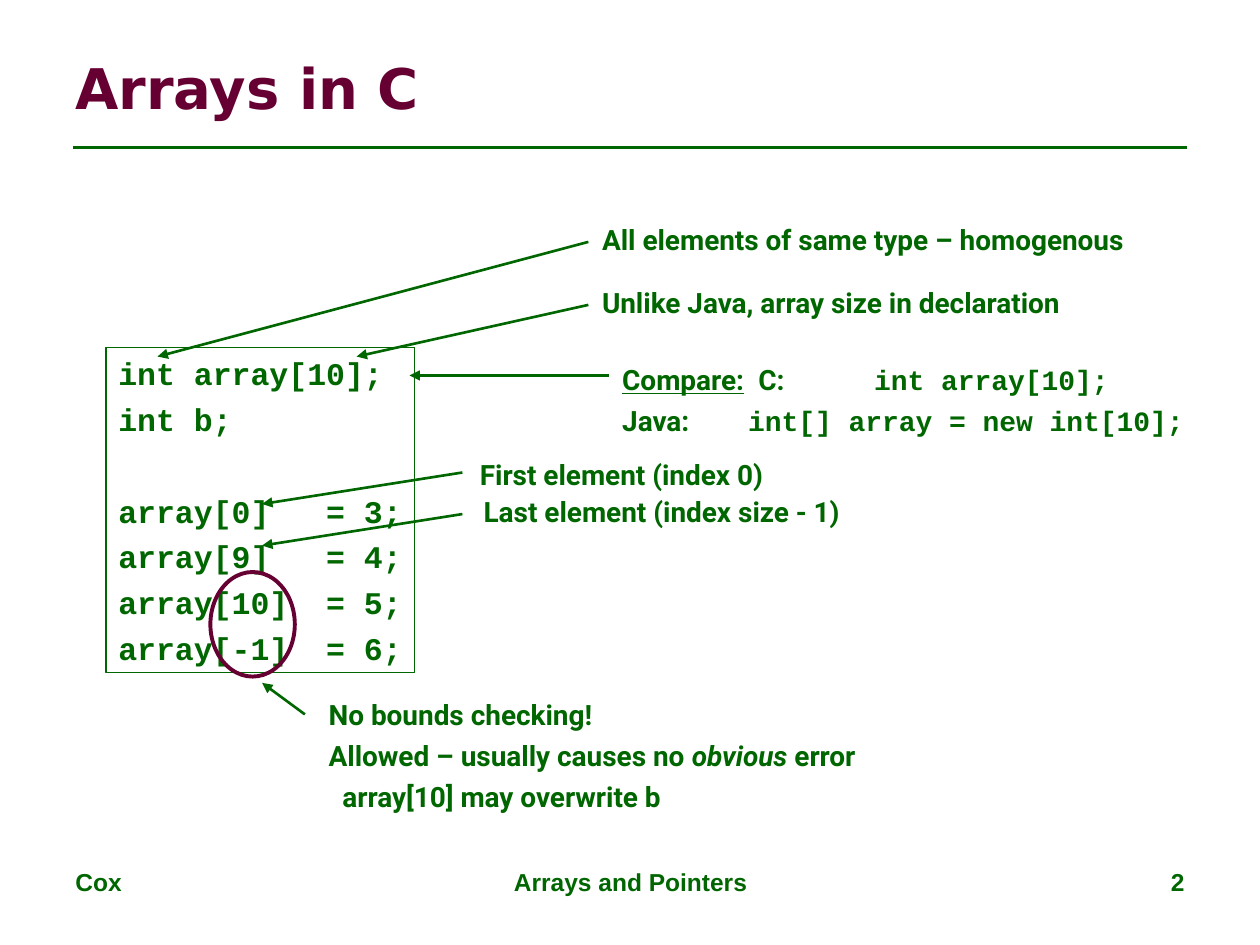
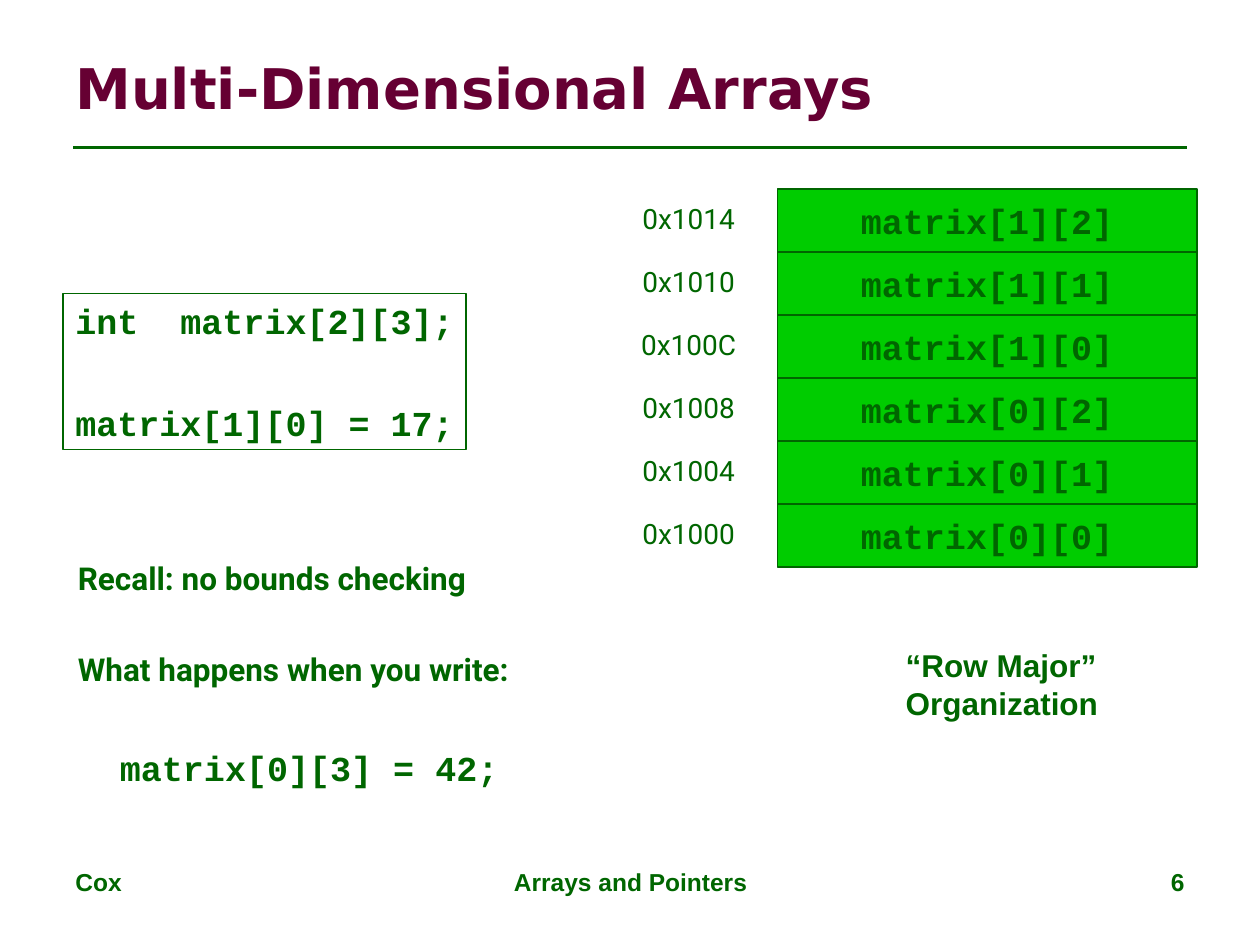
import lxml.etree
import pptx
import pptx.dml.color
import pptx.enum.shapes
import pptx.enum.text
import pptx.oxml.ns
import pptx.util

Inches = pptx.util.Inches
Pt = pptx.util.Pt
RGBColor = pptx.dml.color.RGBColor
Align = pptx.enum.text.PP_ALIGN
Anchor = pptx.enum.text.MSO_ANCHOR
Shape = pptx.enum.shapes.MSO_SHAPE
qn = pptx.oxml.ns.qn

# Colours and text styles
GREEN = RGBColor(0x00, 0x66, 0x00)
BRIGHT_GREEN = RGBColor(0x00, 0xCC, 0x00)
MAROON = RGBColor(0x66, 0x00, 0x33)


def style(name, size, bold=True, colour=GREEN):
    return {"name": name, "size": Pt(size), "bold": bold, "color": colour}


TITLE = style("DejaVu Sans", 32, colour=MAROON)
FOOTER = style("Arial", 14)
NOTE = style("Roboto", 16)
NOTE_CODE = style("Courier New", 16)
ADDRESS = style("Roboto", 16, bold=False)
CODE = style("Courier New", 18)
BIG_CODE = style("Courier New", 20)
REMARK = style("Roboto", 18)
CAPTION = style("Arial", 18)

# Shared content: text, left, width, alignment
FOOTERS = [("Cox", 0.5, 2.33, Align.LEFT),
           ("Arrays and Pointers", 3.42, 3.17, Align.CENTER)]
NUMBER_PLACE = (7.17, 2.33, Align.RIGHT)

# Slide "Arrays in C": a paragraph is a string, or a dict with spans and spacing
ARRAY_CODE = [
    "int array[10];",
    {"spans": ["int b;"], "before": 4.5},
    {"spans": ["array[0]   = 3;"], "before": 31},
    {"spans": ["array[9]   = 4;"], "before": 4.5},
    {"spans": ["array[10]  = 5;"], "before": 4.5},
    {"spans": ["array[-1]  = 6;"], "before": 4.5},
]
ARRAY_NOTES = [
    ((4.68, 1.72, 4.73, 0.37), ["All elements of same type – homogenous"]),
    ((4.68, 2.22, 4.23, 0.37), ["Unlike Java, array size in declaration"]),
    ((4.84, 2.83, 4.66, 0.69), [
        {"spans": [("Compare:", {"underline": True}), "\tC:\t",
                   ("int array[10];", NOTE_CODE)], "tabs": [1.08, 2]},
        {"spans": ["Java:\t", ("int[] array = new int[10];", NOTE_CODE)],
         "tabs": [1], "before": 4},
    ]),
    ((3.71, 3.58, 2.68, 0.37), ["First element (index 0)"]),
    ((3.74, 3.88, 3.25, 0.37), ["Last element (index size - 1)"]),
    ((2.51, 5.49, 4.74, 1.01), [
        "No bounds checking!",
        {"spans": ["Allowed – usually causes no ",
                   ("obvious", {"italic": True}), " error"], "before": 4},
        {"spans": ["array[10] may overwrite b"], "before": 4,
         "indent": 0.11},
    ]),
]
ARRAY_ARROWS = [
    (4.67, 1.92, 1.25, 2.83),
    (4.67, 2.42, 2.83, 2.83),
    (4.83, 2.98, 3.25, 2.98),
    (3.67, 3.75, 2.08, 4),
    (3.67, 4.08, 2.08, 4.33),
    (2.42, 5.67, 2.08, 5.42),
]

# Slide "Multi-Dimensional Arrays"
MATRIX_CODE = ["int  matrix[2][3];",
               {"spans": ["matrix[1][0] = 17;"], "before": 34}]
MATRIX_REMARKS = [
    "Recall: no bounds checking",
    {"spans": ["What happens when you write:"], "before": 30.5},
    {"spans": [("  matrix[0][3] = 42;", BIG_CODE)], "before": 33},
]
MATRIX_CAPTION = ["“Row Major”", "Organization"]
MEMORY = [
    ("0x1014", "matrix[1][2]"),
    ("0x1010", "matrix[1][1]"),
    ("0x100C", "matrix[1][0]"),
    ("0x1008", "matrix[0][2]"),
    ("0x1004", "matrix[0][1]"),
    ("0x1000", "matrix[0][0]"),
]
MEMORY_TOP, CELL_HEIGHT = 1.5, 0.5


def set_format(font, values):
    for key, value in values.items():
        if key == "color":
            font.color.rgb = value
        else:
            setattr(font, key, value)


def write(box, paragraphs, base, align=Align.LEFT, anchor=Anchor.TOP,
          wrap=False):
    frame = box.text_frame
    frame.word_wrap = wrap
    frame.vertical_anchor = anchor
    for index, item in enumerate(paragraphs):
        item = {"spans": [item]} if isinstance(item, str) else item
        para = frame.add_paragraph() if index else frame.paragraphs[0]
        para.alignment = align
        properties = para._p.get_or_add_pPr()
        if "tabs" in item:
            stops = lxml.etree.SubElement(properties, qn("a:tabLst"))
            for stop in item["tabs"]:
                lxml.etree.SubElement(stops, qn("a:tab"), algn="l",
                                      pos=str(Inches(stop)))
        if "indent" in item:
            properties.set("marL", str(Inches(item["indent"])))
            properties.set("indent", "0")
        if "before" in item:
            para.space_before = Pt(item["before"])
        for part in item["spans"]:
            text, changes = (part, {}) if isinstance(part, str) else part
            span = para.add_run()
            span.text = text
            set_format(span.font, {**base, **changes})


def add_text(page, place, paragraphs, base, **options):
    box = page.shapes.add_textbox(*map(Inches, place))
    write(box, paragraphs, base, **options)


def add_outline(page, kind, place, fill=None, line=GREEN, width=0.75):
    shape = page.shapes.add_shape(kind, *map(Inches, place))
    shape.shadow.inherit = False
    if fill is None:
        shape.fill.background()
    else:
        shape.fill.solid()
        shape.fill.fore_color.rgb = fill
    shape.line.color.rgb = line
    shape.line.width = Pt(width)
    return shape


def add_line(page, ends, arrow=False):
    line = page.shapes.add_connector(
        pptx.enum.shapes.MSO_CONNECTOR.STRAIGHT, *map(Inches, ends))
    line.line.color.rgb = GREEN
    line.line.width = Pt(1.5)
    properties = line._element.spPr
    if arrow:
        lxml.etree.SubElement(properties.find(qn("a:ln")), qn("a:tailEnd"),
                              type="triangle")
    lxml.etree.SubElement(properties, qn("a:effectLst"))


def add_page(deck, title, number):
    page = deck.slides.add_slide(deck.slide_layouts[6])
    add_line(page, (0.58, 1.17, 9.42, 1.17))
    for text, left, width, align in FOOTERS + [(number, *NUMBER_PLACE)]:
        add_text(page, (left, 6.83, width, 0.52), [text], FOOTER,
                 align=align, wrap=True)
    add_text(page, (0.5, 0.3, 9, 0.78), [title], TITLE,
             anchor=Anchor.MIDDLE, wrap=True)
    return page


def build_arrays(deck):
    page = add_page(deck, "Arrays in C", "2")
    code_box = add_outline(page, Shape.RECTANGLE, (0.84, 2.76, 2.45, 2.58))
    write(code_box, ARRAY_CODE, CODE)
    for place, paragraphs in ARRAY_NOTES:
        add_text(page, place, paragraphs, NOTE)
    for ends in ARRAY_ARROWS:
        add_line(page, ends, arrow=True)
    # Ring around the indexes that are out of bounds
    add_outline(page, Shape.OVAL, (1.67, 4.54, 0.67, 0.83),
                line=MAROON, width=2.25)


def build_matrix(deck):
    page = add_page(deck, "Multi-Dimensional Arrays", "6")
    code_box = add_outline(page, Shape.RECTANGLE, (0.5, 2.33, 3.2, 1.24))
    write(code_box, MATRIX_CODE, BIG_CODE)
    # Memory cells, highest address on top
    for row, (address, element) in enumerate(MEMORY):
        top = MEMORY_TOP + row * CELL_HEIGHT
        cell = add_outline(page, Shape.RECTANGLE,
                           (6.17, top, 3.33, CELL_HEIGHT), fill=BRIGHT_GREEN)
        write(cell, [element], BIG_CODE, align=Align.CENTER,
              anchor=Anchor.MIDDLE)
        add_text(page, (4.99, top + 0.05, 0.95, 0.37), [address], ADDRESS,
                 align=Align.CENTER)
    add_text(page, (0.52, 4.39, 4.07, 1.93), MATRIX_REMARKS, REMARK)
    add_text(page, (7.09, 5.08, 1.73, 0.7), MATRIX_CAPTION, CAPTION)


def main():
    deck = pptx.Presentation()
    deck.slide_width = Inches(10)
    deck.slide_height = Inches(7.5)
    build_arrays(deck)
    build_matrix(deck)
    deck.save("out.pptx")


if __name__ == "__main__":
    main()
